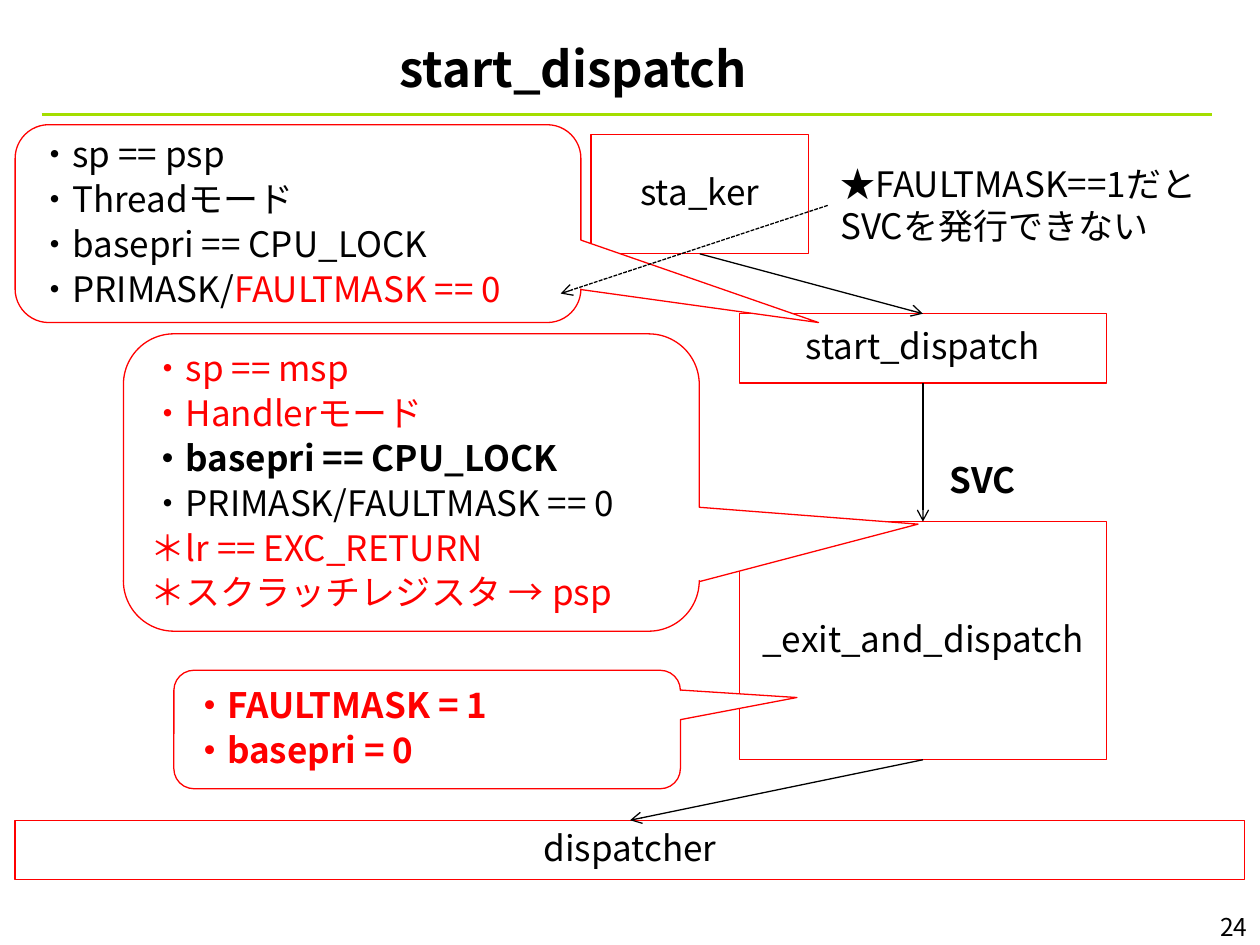
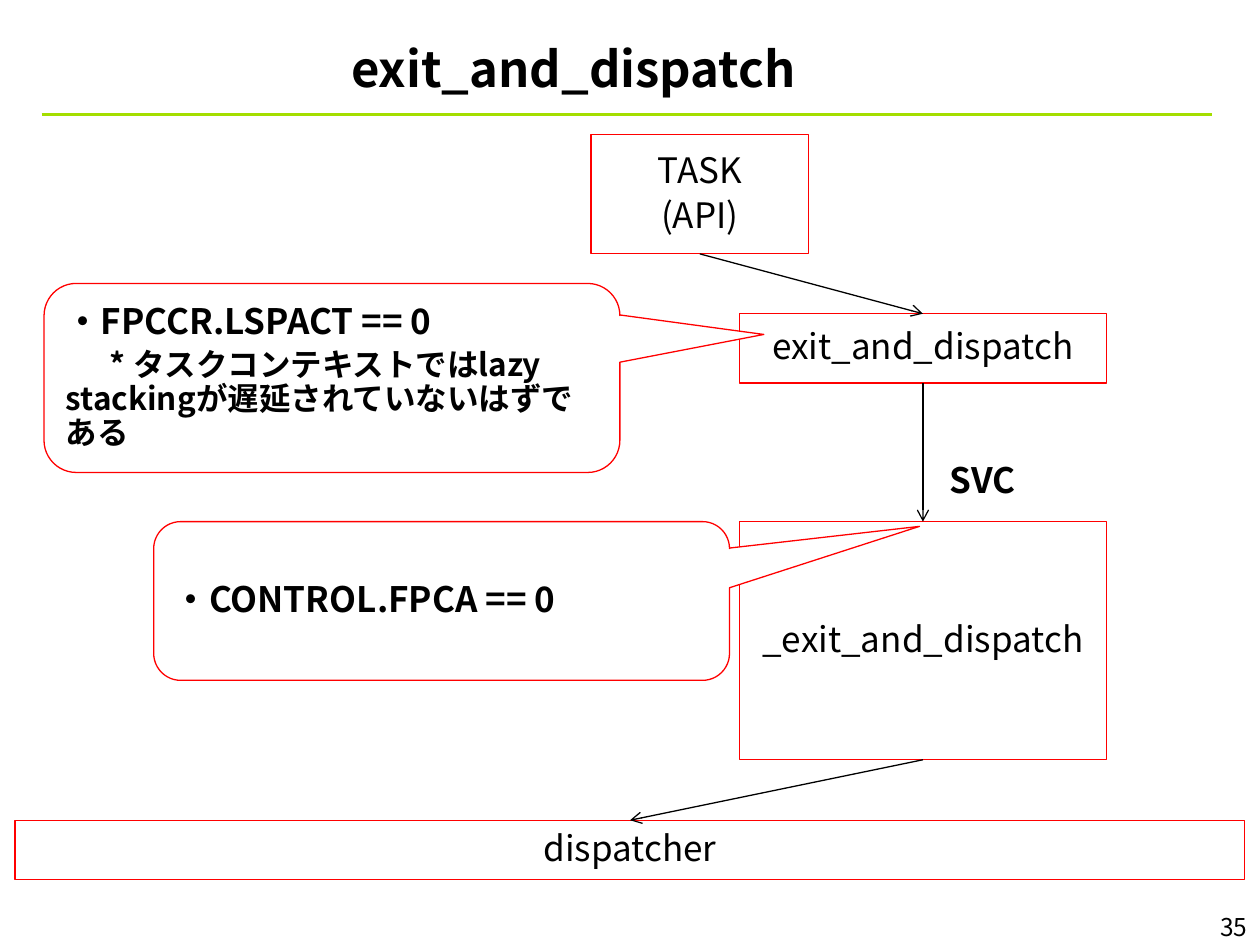
"""Build two slides that show how control reaches the dispatcher."""
import collections

import lxml.etree
import pptx
import pptx.dml.color
import pptx.enum.dml
import pptx.enum.shapes
import pptx.enum.text
import pptx.oxml.ns
import pptx.util

BLACK = pptx.dml.color.RGBColor(0x00, 0x00, 0x00)
WHITE = pptx.dml.color.RGBColor(0xFF, 0xFF, 0xFF)
RED = pptx.dml.color.RGBColor(0xFF, 0x00, 0x00)
GREEN = pptx.dml.color.RGBColor(0xA4, 0xDE, 0x00)

ALIGN = pptx.enum.text.PP_ALIGN
ANCHOR = pptx.enum.text.MSO_ANCHOR
SHAPE = pptx.enum.shapes.MSO_SHAPE
TOP, BOTTOM = 0, 2

Span = collections.namedtuple("Span", "text color bold size indent", defaults=(BLACK, False, 20, 0))


class FlowDeck:
    """Hold the deck style and the current page, placed on a grid of 100 by 75 cells."""

    font = "Noto Sans CJK JP"
    columns, rows = 100, 75

    def __init__(self):
        self.deck = pptx.Presentation()
        self.deck.slide_width = pptx.util.Inches(10)
        self.deck.slide_height = pptx.util.Inches(7.5)
        self.page = None

    def across(self, columns):
        return round(self.deck.slide_width * columns / self.columns)

    def down(self, rows):
        return round(self.deck.slide_height * rows / self.rows)

    def place(self, left, top, width, height):
        return self.across(left), self.down(top), self.across(width), self.down(height)

    def start_page(self, title, number):
        self.page = self.deck.slides.add_slide(self.deck.slide_layouts[5])
        heading = self.page.shapes.title
        heading.left, heading.top, heading.width, heading.height = self.place(2.3, 2.1, 86.4, 5.5)
        heading.text_frame.margin_top = self.down(1.6)
        heading.text_frame.auto_size = pptx.enum.text.MSO_AUTO_SIZE.NONE
        self.set_text(heading, [[Span(title, bold=True, size=28)]], ALIGN.CENTER, ANCHOR.MIDDLE)
        self.line((3.3, 9.1), (96.2, 9.1), GREEN, 1.5)
        self.label((91.7, 71.9, 8.3, 3.3), [Span(number, size=14)], ALIGN.RIGHT)

    def set_text(self, box, lines, align, anchor, leading=None, gap=0):
        frame = box.text_frame
        frame.word_wrap = True
        frame.vertical_anchor = anchor
        for index, spans in enumerate(lines):
            para = frame.add_paragraph() if index else frame.paragraphs[0]
            para.alignment = align
            para.line_spacing = leading
            para.space_before = pptx.util.Pt(gap if index else 0)
            if spans[0].indent:
                properties = para._p.get_or_add_pPr()
                properties.set("marL", "0")
                properties.set("indent", str(self.across(spans[0].indent)))
            for span in spans:
                self.add_span(para, span)

    def add_span(self, para, span):
        run = para.add_run()
        run.text = span.text
        run.font.name = self.font
        run.font.size = pptx.util.Pt(span.size)
        run.font.bold = span.bold
        run.font.color.rgb = span.color
        east_asian = lxml.etree.SubElement(run._r.get_or_add_rPr(), pptx.oxml.ns.qn("a:ea"))
        east_asian.set("typeface", self.font)

    def label(self, area, spans, align=ALIGN.LEFT):
        box = self.page.shapes.add_textbox(*self.place(*area))
        self.set_text(box, [spans], align, ANCHOR.TOP)

    def outline(self, kind, area, lines, align):
        shape = self.page.shapes.add_shape(kind, *self.place(*area))
        shape.shadow.inherit = False
        shape.fill.background()
        shape.line.color.rgb = RED
        shape.line.width = pptx.util.Pt(0.75)
        self.set_text(shape, lines, align, ANCHOR.MIDDLE, leading=0.9, gap=4)
        return shape

    def step(self, area, *names):
        return self.outline(SHAPE.RECTANGLE, area, [[Span(name)] for name in names], ALIGN.CENTER)

    def callout(self, area, tip, lines):
        shape = self.outline(SHAPE.ROUNDED_RECTANGULAR_CALLOUT, area, lines, ALIGN.LEFT)
        shape.fill.solid()
        shape.fill.fore_color.rgb = WHITE
        for index, value in enumerate((*tip, 0.17)):
            shape.adjustments[index] = value

    def line(self, start, end, color=BLACK, width=0.75):
        link = self.page.shapes.add_connector(
            pptx.enum.shapes.MSO_CONNECTOR.STRAIGHT,
            self.across(start[0]), self.down(start[1]), self.across(end[0]), self.down(end[1]))
        link.line.color.rgb = color
        link.line.width = pptx.util.Pt(width)
        lxml.etree.SubElement(link._element.spPr, pptx.oxml.ns.qn("a:effectLst"))
        return link

    def arrow(self, start=(0, 0), end=(0, 0)):
        link = self.line(start, end)
        head = lxml.etree.SubElement(link.get_or_add_ln(), pptx.oxml.ns.qn("a:tailEnd"))
        head.set("type", "arrow")
        return link

    def flow(self, caller, entry):
        steps = [
            self.step((46.9, 10.7, 17.3, 9.45), *caller),
            self.step((58.7, 24.9, 29.1, 5.5), entry),
            self.step((58.7, 41.4, 29.1, 18.9), "_exit_and_dispatch"),
            self.step((1.2, 65.1, 97.6, 4.7), "dispatcher"),
        ]
        for source, target in zip(steps, steps[1:]):
            link = self.arrow()
            link.begin_connect(source, BOTTOM)
            link.end_connect(target, TOP)
        self.label((74.4, 35.9, 8.7, 4.4), [Span("SVC", bold=True)])


def build_start_dispatch(deck):
    deck.start_page("start_dispatch", "24")
    deck.flow(["sta_ker"], "start_dispatch")
    deck.callout((13.8, 53.2, 40.2, 9.4), (0.73, -0.27), [
        [Span("・FAULTMASK = 1", RED, True)],
        [Span("・basepri = 0", RED, True)],
    ])
    deck.callout((1.2, 9.9, 44.9, 15.7), (0.92, 0.5), [
        [Span("・sp == psp")],
        [Span("・Threadモード")],
        [Span("・basepri == CPU_LOCK")],
        [Span("・PRIMASK/"), Span("FAULTMASK == 0", RED)],
    ])
    deck.callout((9.8, 26.5, 45.7, 23.6), (0.88, 0.14), [
        [Span("・sp == msp", RED)],
        [Span("・Handlerモード", RED)],
        [Span("・basepri == CPU_LOCK", bold=True)],
        [Span("・PRIMASK/FAULTMASK == 0")],
        [Span("＊lr == EXC_RETURN", RED)],
        [Span("＊スクラッチレジスタ → psp", RED)],
    ])
    deck.label((65.7, 12.4, 32.7, 7.7), [Span("★FAULTMASK==1だとSVCを発行できない")])
    warning = deck.arrow((65.7, 16.3), (44.5, 23.3))
    warning.line.dash_style = pptx.enum.dml.MSO_LINE.SQUARE_DOT


def build_exit_and_dispatch(deck):
    deck.start_page("exit_and_dispatch", "35")
    deck.flow(["TASK", "(API)"], "exit_and_dispatch")
    deck.callout((3.5, 22.5, 45.7, 15), (0.75, -0.23), [
        [Span("・FPCCR.LSPACT == 0", bold=True)],
        [Span("* タスクコンテキストではlazy stackingが遅延されていないはずである",
              bold=True, size=18, indent=3.5)],
    ])
    deck.callout((12.2, 41.4, 45.7, 12.6), (0.83, -0.47), [
        [Span("・CONTROL.FPCA == 0", bold=True)],
    ])


def main():
    flow_deck = FlowDeck()
    build_start_dispatch(flow_deck)
    build_exit_and_dispatch(flow_deck)
    flow_deck.deck.save("out.pptx")


if __name__ == "__main__":
    main()
